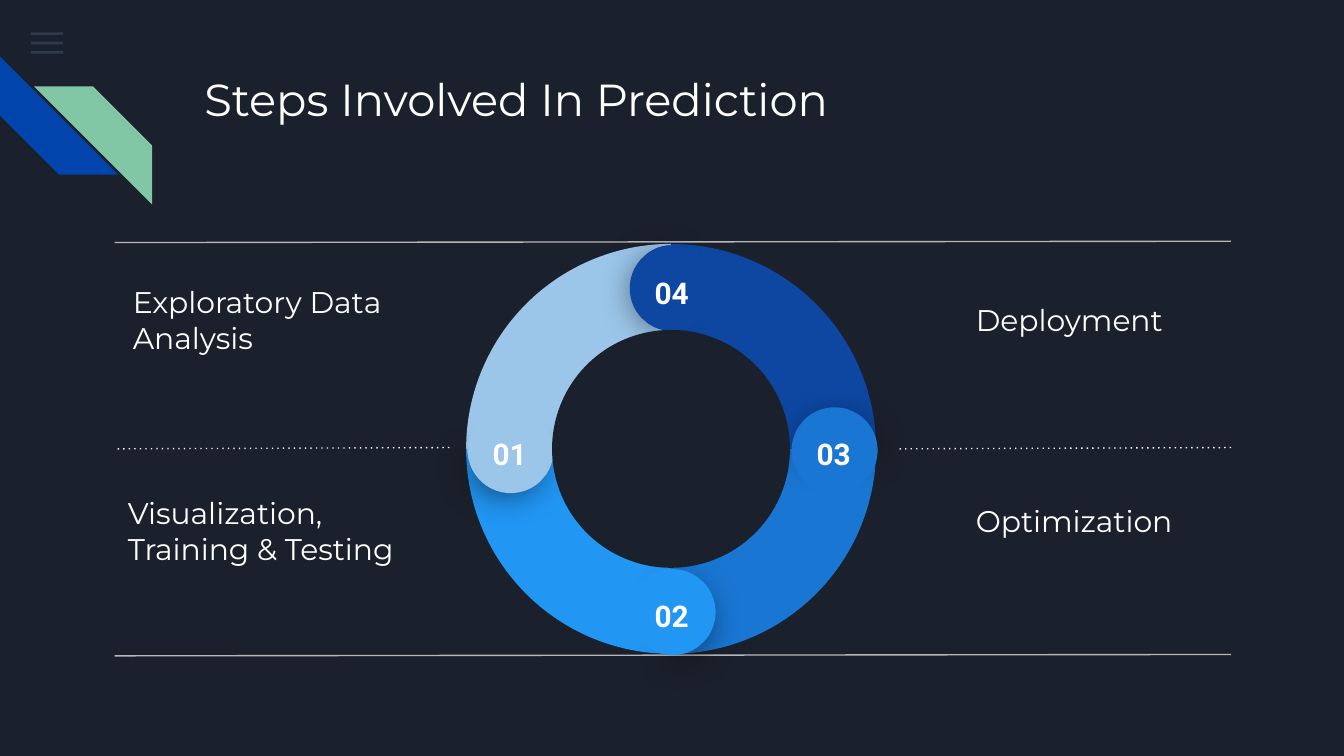
"""Build a slide with a four-step prediction cycle."""
from math import cos, radians, sin

from lxml import etree
from pptx import Presentation
from pptx.dml.color import RGBColor
from pptx.enum.shapes import MSO_CONNECTOR, MSO_SHAPE
from pptx.enum.text import MSO_ANCHOR, MSO_AUTO_SIZE, PP_ALIGN
from pptx.oxml.ns import qn
from pptx.util import Inches, Pt

RECTANGLE, OVAL = MSO_SHAPE.RECTANGLE, MSO_SHAPE.OVAL
STRIPE, PIE, CHORD = MSO_SHAPE.DIAGONAL_STRIPE, MSO_SHAPE.PIE, MSO_SHAPE.CHORD
STRAIGHT = MSO_CONNECTOR.STRAIGHT
TOP, MIDDLE = MSO_ANCHOR.TOP, MSO_ANCHOR.MIDDLE
LEFT, CENTER = PP_ALIGN.LEFT, PP_ALIGN.CENTER
NO_FIT = MSO_AUTO_SIZE.NONE

COLORS = {
    "background": "1B212C", "menu": "55688B", "stripe blue": "0145AC",
    "stripe green": "82C7A5", "text": "FFFFFF", "rule": "B7B7B7",
    "01": "9BC5E9", "02": "2196F3", "03": "1976D2", "04": "0D47A1",
}
COLUMNS, ROWS = 100, 56.25
RING_X, RING_Y = 49.93, 33.4
CAP_X, CAP_Y = 50.05, 33.5
RING_SIZE, HOLE_SIZE, CAP_SIZE, SHADE_SIZE = 30.5, 17.7, 6.4, 5.7
CAP_RADIUS, SHADE_RADIUS = 12.05, 12.3
STEPS = [
    ("Exploratory Data Analysis", (8.9, 20.85, 21.8, 5.9)),
    ("Visualization, Training & Testing", (8.53, 35.4, 22.1, 8.1)),
    ("Optimization", (71.63, 36.3, 20.3, 4.9)),
    ("Deployment", (71.63, 21.35, 20.3, 4.9)),
]


def cells(count):
    """Turn a number of grid cells into a length; 100 cells span the slide."""
    return Inches(count / 10)


def color(name):
    """Look up a named colour."""
    return RGBColor.from_string(COLORS[name])


def add_block(page, kind, area, fill, adjustments=(), rotation=0):
    """Add a plain filled preset shape."""
    block = page.shapes.add_shape(kind, *map(cells, area))
    block.shadow.inherit = False
    block.fill.solid()
    block.fill.fore_color.rgb = color(fill)
    block.line.fill.background()
    block.rotation = rotation
    for index, value in enumerate(adjustments):
        block.adjustments[index] = value
    return block


def centered(x, y, size):
    """Return the area of a square around a point."""
    return x - size / 2, y - size / 2, size, size


def add_alpha(parent, percent):
    """Make the colour inside an XML element partly transparent."""
    shade = next(parent.iter(qn("a:srgbClr")))
    etree.SubElement(shade, qn("a:alpha")).set("val", str(percent * 1000))


def add_shadow(block):
    """Give a shape a soft shadow that falls straight down."""
    effects = block._element.spPr.find(qn("a:effectLst"))
    shadow = etree.SubElement(effects, qn("a:outerShdw"), blurRad=str(Pt(18)),
                              dist=str(Pt(4)), dir="5400000", algn="bl", rotWithShape="0")
    etree.SubElement(shadow, qn("a:srgbClr"), val="000000")
    add_alpha(shadow, 55)


def write(box, text, size, font, anchor=TOP, align=LEFT, bold=False):
    """Fill a box with one formatted paragraph."""
    frame = box.text_frame
    frame.word_wrap = True
    frame.auto_size = NO_FIT
    frame.vertical_anchor = anchor
    frame.margin_left = frame.margin_right = cells(1)
    frame.margin_top = frame.margin_bottom = cells(1)
    frame.text = text
    para = frame.paragraphs[0]
    para.alignment = align
    para.font.size = Pt(size)
    para.font.name = font
    para.font.bold = bold
    para.font.color.rgb = color("text")


def add_label(page, area, *args, **options):
    """Add a text box."""
    write(page.shapes.add_textbox(*map(cells, area)), *args, **options)


def add_rule(page, left, right, y, tint, dotted=False):
    """Add a thin, very slightly rising line."""
    rule = page.shapes.add_connector(
        STRAIGHT, cells(right), cells(y), cells(left), cells(y + 0.1))
    rule.line.color.rgb = color(tint)
    rule.line.width = Pt(0.75)
    if dotted:
        outline = rule._element.spPr.find(qn("a:ln"))
        etree.SubElement(outline, qn("a:prstDash"), val="dot")
    etree.SubElement(rule._element.spPr, qn("a:effectLst"))


def add_corner(page):
    """Add the menu icon and the two diagonal stripes."""
    for row in range(3):
        bar = add_block(page, RECTANGLE, (2.3, 2.4 + 0.7 * row, 2.4, 0.2), "menu")
        add_alpha(bar._element.spPr, 36)
    add_block(page, STRIPE, (0, 4.2, 8.8, 8.8), "stripe blue", [0.5], 270)
    green = add_block(page, STRIPE, (2.53, 6.43, 8.8, 8.8), "stripe green", [0.5])
    green._element.spPr.find(qn("a:xfrm")).set("flipH", "1")


def add_title(page):
    """Place and fill the title placeholder."""
    title = page.shapes.title
    title.left, title.top, title.width, title.height = map(cells, (14.2, 4.33, 77, 10))
    write(title, "Steps Involved In Prediction", 24, "Montserrat")


def add_rules(page):
    """Add the solid outer rules and the dotted middle ones."""
    for y in (17.95, 48.7):
        add_rule(page, 8.53, 91.6, y, "rule")
    for left in (8.53, 66.7):
        add_rule(page, left, left + 24.9, 33.3, "text", dotted=True)


def add_cap(page, number, turn):
    """Add the round, numbered end of one ring segment."""
    angle = radians(180 + turn)
    across, down = cos(angle), sin(angle)
    shade = centered(RING_X + SHADE_RADIUS * across,
                     RING_Y + SHADE_RADIUS * down, SHADE_SIZE)
    add_shadow(add_block(page, PIE, shade, number, [189.54, 83.81], turn + 39.5))
    x, y = CAP_X + CAP_RADIUS * across, CAP_Y + CAP_RADIUS * down
    add_block(page, CHORD, centered(x, y, CAP_SIZE), number, [25, 18.12], turn + 4.1)
    add_label(page, (x - 2.87, y - 2.05, 5.6, 2.9), number, 16, "Roboto",
              align=CENTER, bold=True)


def add_cycle(page):
    """Add the ring of four segments with its caps and centre hole."""
    turns = {f"{step + 1:02}": -90 * step for step in range(len(STEPS))}
    for number, turn in turns.items():
        add_block(page, PIE, centered(RING_X, RING_Y, RING_SIZE), number, [108, 162], turn)
    for number, turn in turns.items():
        add_cap(page, number, turn)
    add_block(page, OVAL, centered(RING_X, RING_Y, HOLE_SIZE), "background")


def main():
    """Build and save the deck."""
    deck = Presentation()
    deck.slide_width, deck.slide_height = cells(COLUMNS), cells(ROWS)
    page = deck.slides.add_slide(deck.slide_layouts[5])
    page.background.fill.solid()
    page.background.fill.fore_color.rgb = color("background")
    add_corner(page)
    add_title(page)
    for text, area in STEPS:
        add_label(page, area, text, 16, "Montserrat", anchor=MIDDLE)
    add_rules(page)
    add_cycle(page)
    deck.save("out.pptx")


if __name__ == "__main__":
    main()
